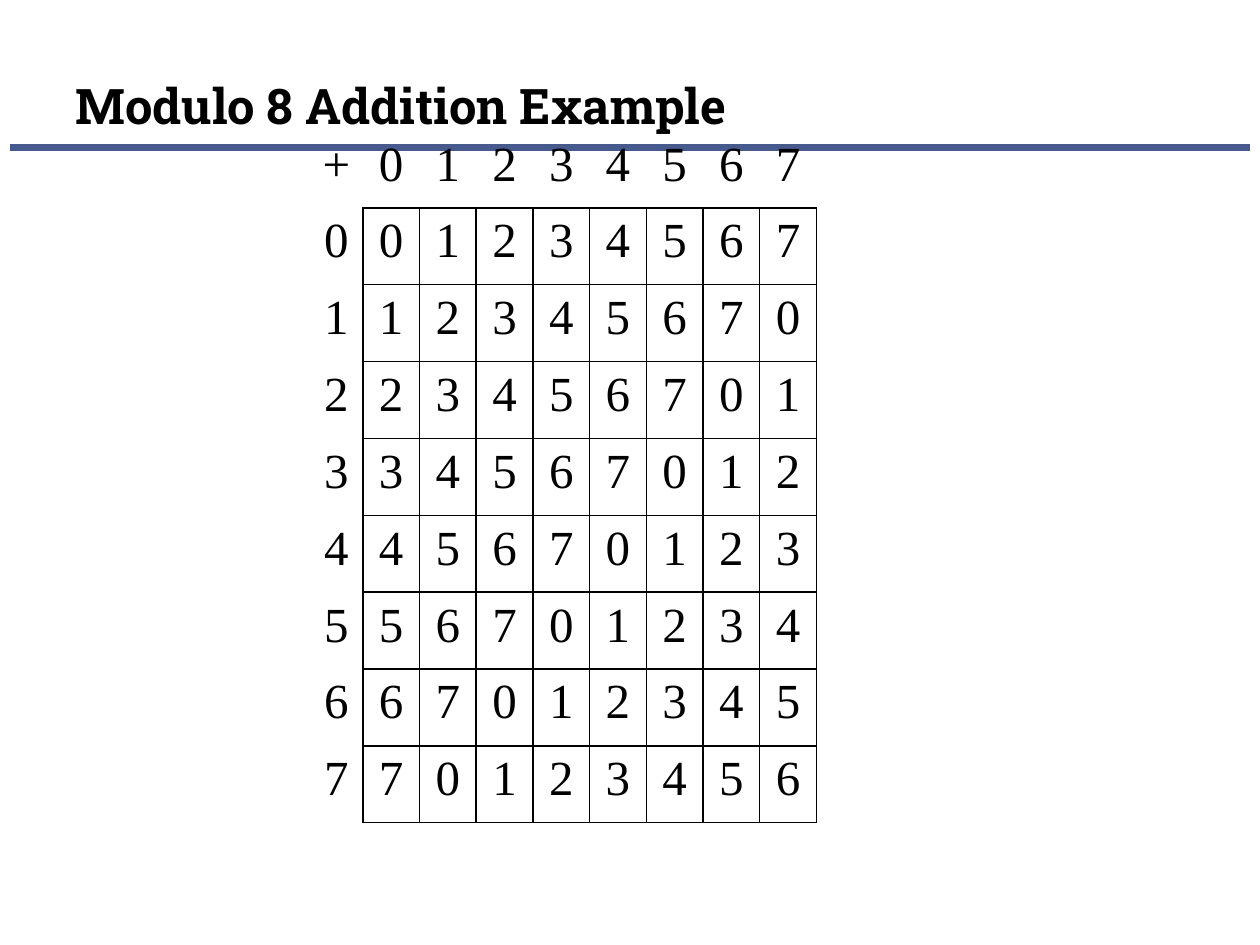
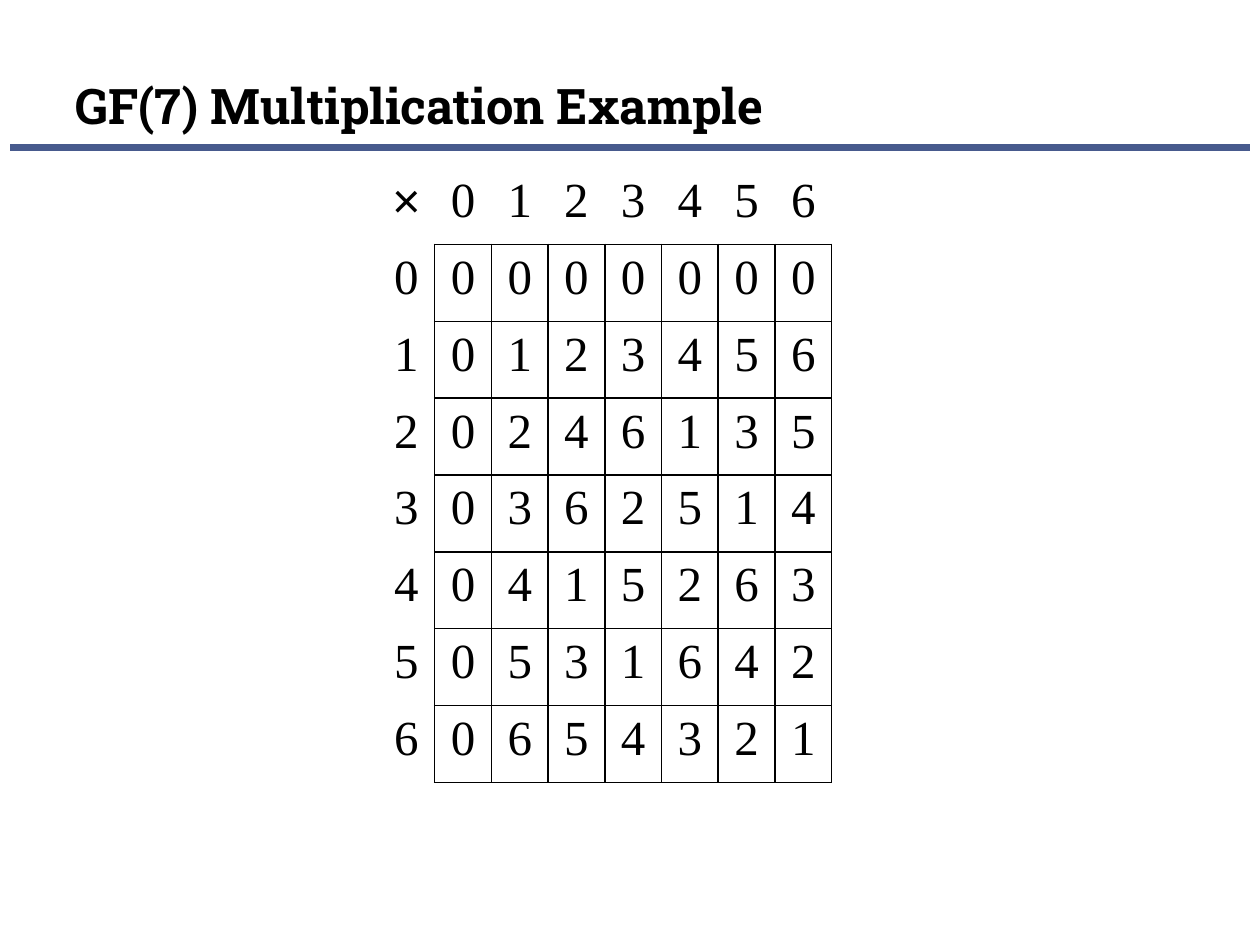
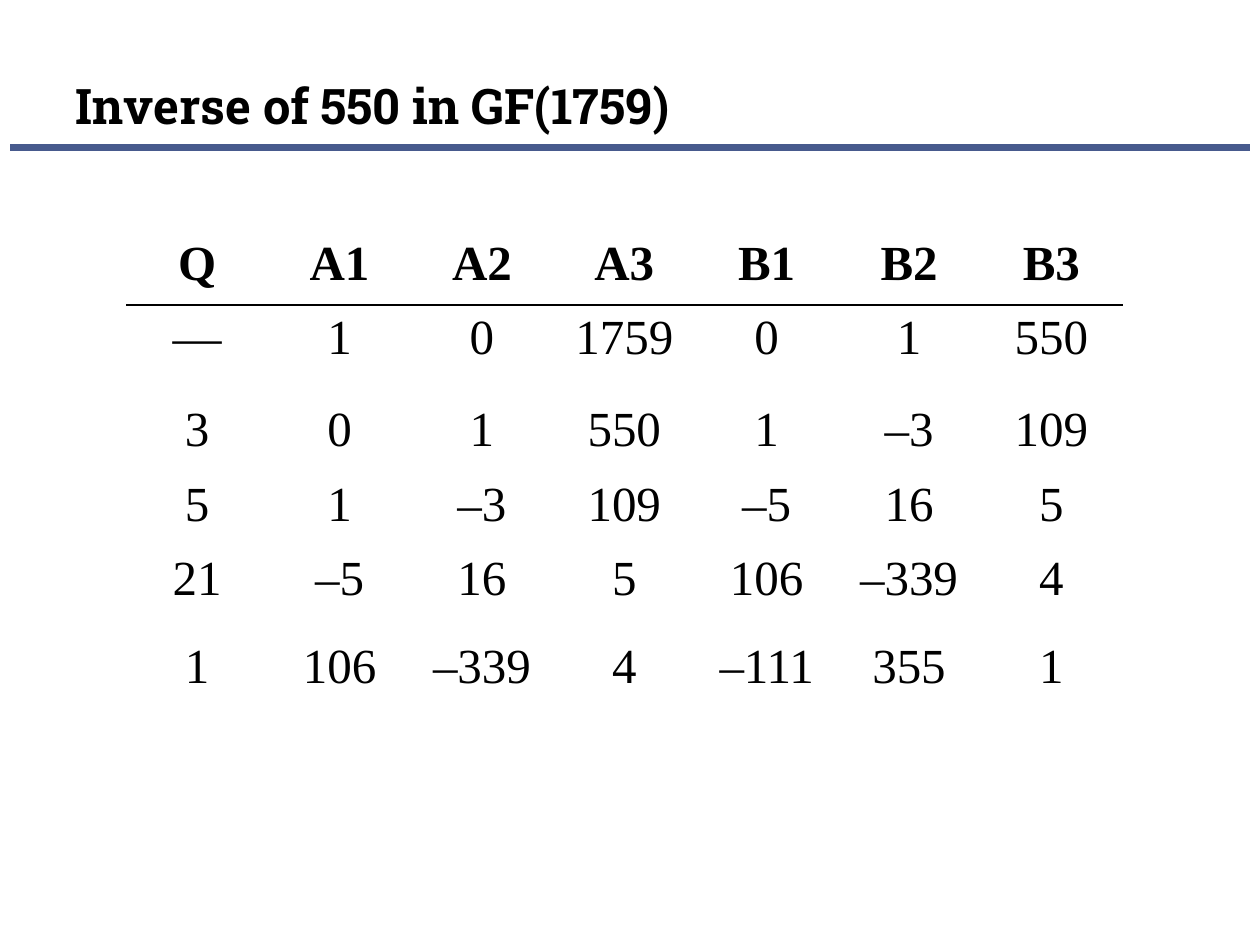
from lxml.etree import SubElement
from pptx import Presentation
from pptx.dml.color import RGBColor
from pptx.enum.text import MSO_ANCHOR as Anchor, MSO_AUTO_SIZE as AutoSize, PP_ALIGN as Align
from pptx.enum.shapes import MSO_CONNECTOR as Connector
from pptx.oxml.ns import qn
from pptx.util import Inches, Pt

BLACK = RGBColor(0x00, 0x00, 0x00)
BLUE = RGBColor(0x47, 0x5A, 0x8D)
TITLE_FONT, BODY_FONT, SYMBOL_FONT = "Roboto Slab", "Times New Roman", "Arial"
NO_STYLE = "{2D5ABB26-0587-4C30-8999-92F81FD0307C}"
TITLE_ONLY = 5


class Deck:
    """Holds the shared style and the slide being built."""

    def __init__(self):
        self.prs = Presentation()
        self.prs.slide_width, self.prs.slide_height = Inches(10), Inches(7.5)
        self.s = None

    def format_run(self, r, **changes):
        style = {"name": BODY_FONT, "size": Pt(28), "bold": False} | changes
        for key, value in style.items():
            setattr(r.font, key, value)
        r.font.color.rgb = BLACK

    def add_slide(self, title):
        self.s = self.prs.slides.add_slide(self.prs.slide_layouts[TITLE_ONLY])
        self.rule()
        self.title(title)

    def rule(self):
        y = Inches(1.17)
        line = self.s.shapes.add_connector(
            Connector.STRAIGHT, Inches(0.08), y, Inches(9.92), y)
        line.line.color.rgb = BLUE
        line.line.width = Pt(4)
        SubElement(line._element.spPr, qn("a:effectLst"))

    def title(self, text):
        sp = self.s.shapes.title
        place = {"left": 0.5, "top": 0.34, "width": 9, "height": 0.78}
        for key, value in place.items():
            setattr(sp, key, Inches(value))
        tf = sp.text_frame
        tf.auto_size = AutoSize.NONE
        tf.vertical_anchor = Anchor.BOTTOM
        p = tf.paragraphs[0]
        p.alignment = Align.LEFT
        r = p.add_run()
        r.text = text
        self.format_run(r, name=TITLE_FONT, bold=True)

    def table(self, rows, left, top, widths, heights, sides, font):
        """Draw rows; sides(i, j) names a cell's borders, font(i, j) its font changes."""
        frame = self.s.shapes.add_table(
            len(rows), len(widths), Inches(left), Inches(top),
            Inches(sum(widths)), Inches(sum(heights)))
        table = frame.table
        table.first_row = table.horz_banding = False
        table._tbl.tblPr.find(qn("a:tableStyleId")).text = NO_STYLE
        for column, width in zip(table.columns, widths):
            column.width = Inches(width)
        for row, height in zip(table.rows, heights):
            row.height = Inches(height)
        for i, row in enumerate(rows):
            for j, value in enumerate(row):
                cell = table.cell(i, j)
                self.borders(cell, sides(i, j))
                cell.fill.background()
                p = cell.text_frame.paragraphs[0]
                p.alignment = Align.CENTER
                p.space_before = p.space_after = Pt(3)
                r = p.add_run()
                r.text = str(value)
                self.format_run(r, **font(i, j))

    def borders(self, cell, sides):
        tc_pr = cell._tc.get_or_add_tcPr()
        for side in "LRTB":
            ln = SubElement(tc_pr, qn(f"a:ln{side}"), w=str(Pt(1)))
            if side in sides:
                fill = SubElement(ln, qn("a:solidFill"))
                SubElement(fill, qn("a:srgbClr"), val=str(BLACK))
            else:
                SubElement(ln, qn("a:noFill"))

    def operation_table(self, symbol, modulus, operation, left, top, first_width, symbol_font):
        """Table of an operation modulo a number, with only the results boxed in."""
        numbers = range(modulus)
        rows = [[symbol, *numbers]]
        rows += [[a, *(operation(a, b) % modulus for b in numbers)] for a in numbers]

        def sides(i, j):
            if i and j:
                return "LRTB"
            return "R" if i else "B" if j else ""

        def font(i, j):
            return {} if i or j else {"name": symbol_font}

        self.table(rows, left, top, [first_width] + [0.45] * modulus,
                   [0.61] * (modulus + 1), sides, font)

    def step_table(self, rows, left, top, width, heights):
        """Table with a bold header row underlined across its whole width."""
        self.table(rows, left, top, [width] * len(rows[0]), heights,
                   sides=lambda i, j: {0: "B", 1: "T"}.get(i, ""),
                   font=lambda i, j: {"bold": i == 0})


def main():
    deck = Deck()

    deck.add_slide("Modulo 8 Addition Example")
    deck.operation_table("+", 8, lambda a, b: a + b, 2.46, 1.04, 0.42, BODY_FONT)

    deck.add_slide("GF(7) Multiplication Example")
    deck.operation_table("×", 7, lambda a, b: a * b, 3, 1.33, 0.45, SYMBOL_FONT)

    deck.add_slide("Inverse of 550 in GF(1759)")
    deck.step_table([
        ["Q", "A1", "A2", "A3", "B1", "B2", "B3"],
        ["—", "1", "0", "1759", "0", "1", "550"],
        ["3", "0", "1", "550", "1", "–3", "109"],
        ["5", "1", "–3", "109", "–5", "16", "5"],
        ["21", "–5", "16", "5", "106", "–339", "4"],
        ["1", "106", "–339", "4", "–111", "355", "1"],
    ], 1, 1.83, 1.13, [0.59, 0.73, 0.59, 0.59, 0.7, 1.05])

    deck.prs.save("out.pptx")


if __name__ == "__main__":
    main()
